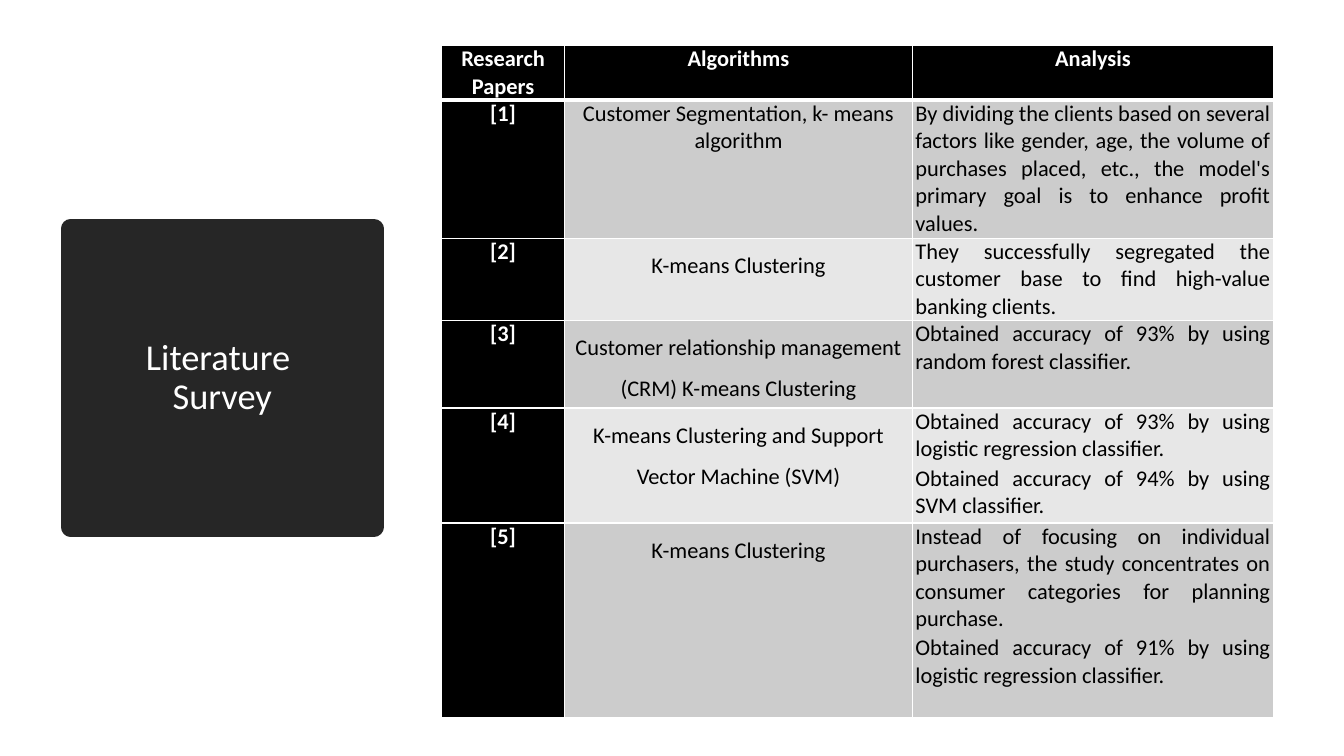
"""Build the literature survey slide: a title block beside a table of papers."""
import dataclasses
import typing

import lxml.etree
import pptx
import pptx.dml.color
import pptx.enum.shapes
import pptx.enum.text
import pptx.oxml.ns
import pptx.util

Inches = pptx.util.Inches
Pt = pptx.util.Pt
Align = pptx.enum.text.PP_ALIGN


@dataclasses.dataclass(frozen=True)
class Theme:
    """Colours, font and sizes of the slide."""
    font: str = "Calibri"
    white: str = "FFFFFF"
    black: str = "000000"
    block: str = "262626"
    bands: tuple[str, str] = ("CCCCCC", "E7E7E7")
    title: float = 26
    body: float = 16
    edge: float = 13.75
    rule: float = 1
    heavy: float = 3


@dataclasses.dataclass(frozen=True)
class Paper:
    """One row of the survey."""
    method: str
    notes: tuple[str, ...]
    height: float
    leading: float = 1.5


THEME = Theme()
WIDTHS = (1.22, 3.45, 3.58)
HEADS = ("Research Papers", "Algorithms", "Analysis")
HEAD_HEIGHT = 0.53
PAPERS = (
    Paper("Customer Segmentation, k- means algorithm",
          ("By dividing the clients based on several factors like gender, age, "
           "the volume of purchases placed, etc., the model's primary goal is "
           "to enhance profit values.",), 1.37, 1),
    Paper("K-means Clustering",
          ("They successfully segregated the customer base to find high-value "
           "banking clients.",), 0.81),
    Paper("Customer relationship management (CRM) K-means Clustering",
          ("Obtained accuracy of 93% by using random forest classifier.",), 0.87),
    Paper("K-means Clustering and Support Vector Machine (SVM)",
          ("Obtained accuracy of 93% by using logistic regression classifier.",
           "Obtained accuracy of 94% by using SVM classifier."), 1.14),
    Paper("K-means Clustering",
          ("Instead of focusing on individual purchasers, the study "
           "concentrates on consumer categories for planning purchase.",
           "Obtained accuracy of 91% by using logistic regression classifier."),
          1.93),
)


def colour(code: str) -> pptx.dml.color.RGBColor:
    """Turn a hex code into a colour."""
    return pptx.dml.color.RGBColor.from_string(code)


def write(frame: typing.Any, *lines: str, size: float = THEME.body,
          ink: str = THEME.black, bold: bool = False,
          align: Align = Align.CENTER, leading: float = 1,
          before: float = 1.5) -> None:
    """Fill a text frame with one paragraph for each line."""
    frame.word_wrap = True
    for i, line in enumerate(lines):
        para = frame.add_paragraph() if i else frame.paragraphs[0]
        para.text = line
        para.alignment = align
        para.line_spacing = leading
        para.space_before = Pt(before)
        for run in para.runs:
            run.font.name = THEME.font
            run.font.size = Pt(size)
            run.font.bold = bold
            run.font.color.rgb = colour(ink)


def border(cell: typing.Any, top: float, base: float) -> None:
    """Draw white rules on the four sides of a cell."""
    props = cell._tc.get_or_add_tcPr()
    sides = {"L": THEME.rule, "R": THEME.rule, "T": top, "B": base}
    for i, (side, width) in enumerate(sides.items()):
        line = lxml.etree.Element(pptx.oxml.ns.qn("a:ln" + side), w=str(Pt(width)))
        fill = lxml.etree.SubElement(line, pptx.oxml.ns.qn("a:solidFill"))
        lxml.etree.SubElement(fill, pptx.oxml.ns.qn("a:srgbClr"), val=THEME.white)
        props.insert(i, line)


def paint(cell: typing.Any, fill: str, *lines: str, top: float = THEME.rule,
          base: float = THEME.rule, **style: typing.Any) -> None:
    """Set the fill, margins, rules and text of a cell."""
    cell.fill.solid()
    cell.fill.fore_color.rgb = colour(fill)
    cell.margin_left = cell.margin_right = Inches(0.03)
    cell.margin_top = cell.margin_bottom = 0
    border(cell, top, base)
    write(cell.text_frame, *lines, **style)


def add_title(slide: typing.Any) -> None:
    """Add the dark title block with softly rounded corners."""
    box = slide.shapes.add_shape(
        pptx.enum.shapes.MSO_SHAPE.RECTANGLE,
        Inches(0.7), Inches(2.27), Inches(3.01), Inches(2.96))
    box.shadow.inherit = False
    box.fill.solid()
    box.fill.fore_color.rgb = colour(THEME.block)
    box.line.color.rgb = colour(THEME.block)
    box.line.width = Pt(THEME.edge)
    lxml.etree.SubElement(box.line._get_or_add_ln(), pptx.oxml.ns.qn("a:round"))
    box.text_frame.vertical_anchor = pptx.enum.text.MSO_ANCHOR.MIDDLE
    write(box.text_frame, "Literature \vSurvey", size=THEME.title,
          ink=THEME.white, leading=0.9, before=0)


def add_survey(slide: typing.Any) -> None:
    """Add the table of papers."""
    heights = (HEAD_HEIGHT, *(paper.height for paper in PAPERS))
    table = slide.shapes.add_table(
        len(heights), len(WIDTHS), Inches(4.38), Inches(0.45),
        Inches(sum(WIDTHS)), Inches(sum(heights))).table
    table.first_row = table.horz_banding = False
    for col, width in zip(table.columns, WIDTHS):
        col.width = Inches(width)
    for row, height in zip(table.rows, heights):
        row.height = Inches(height)
    for i, head in enumerate(HEADS):
        paint(table.cell(0, i), THEME.black, head, base=THEME.heavy,
              ink=THEME.white, bold=True)
    for i, paper in enumerate(PAPERS, 1):
        band = THEME.bands[(i - 1) % 2]
        top = THEME.heavy if i == 1 else THEME.rule
        paint(table.cell(i, 0), THEME.black, f"[{i}]", top=top,
              ink=THEME.white, bold=True)
        paint(table.cell(i, 1), band, paper.method, top=top,
              leading=paper.leading)
        paint(table.cell(i, 2), band, *paper.notes, top=top,
              align=Align.JUSTIFY)


def main() -> None:
    """Build and save the slide."""
    deck = pptx.Presentation()
    deck.slide_width = Inches(13.33)
    deck.slide_height = Inches(7.5)
    slide = deck.slides.add_slide(deck.slide_layouts[6])
    add_title(slide)
    add_survey(slide)
    deck.save("out.pptx")


if __name__ == "__main__":
    main()
